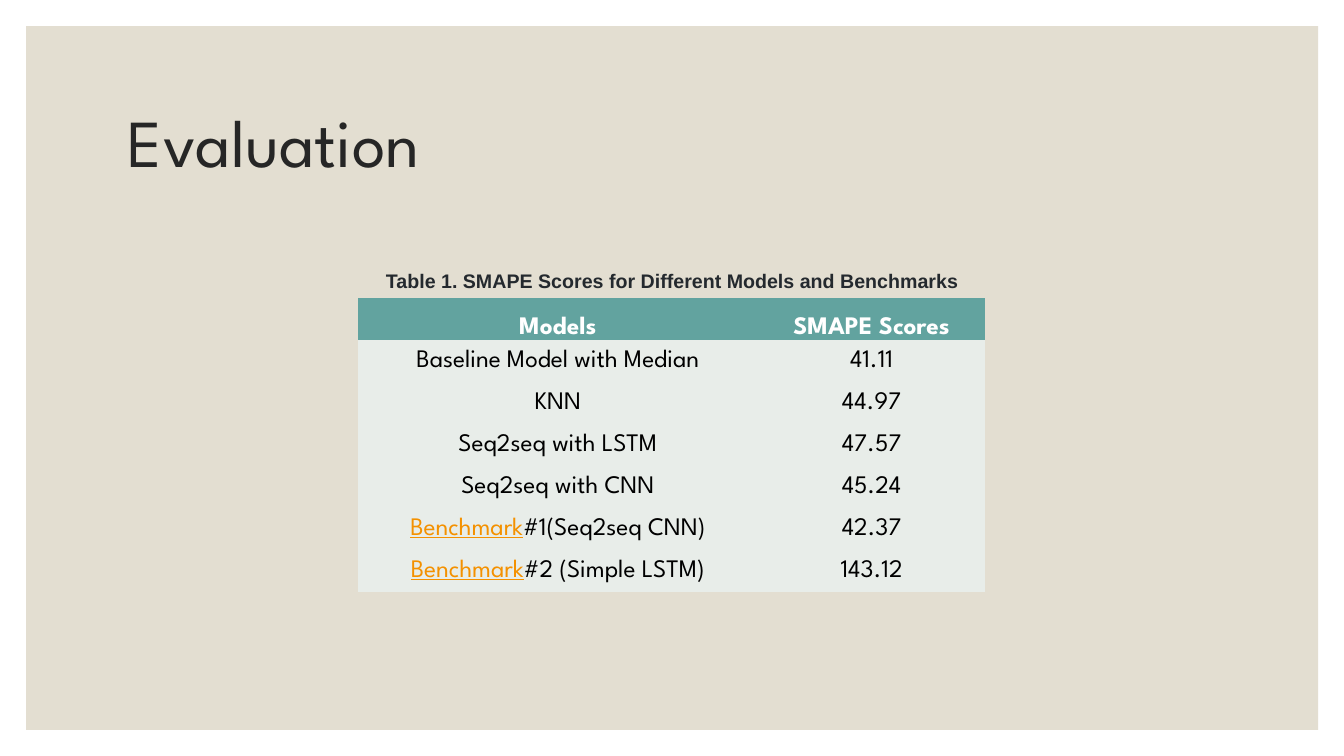
from dataclasses import dataclass

from pptx import Presentation
from pptx.dml.color import RGBColor
from pptx.enum.shapes import MSO_SHAPE
from pptx.enum.text import MSO_ANCHOR, PP_ALIGN
from pptx.oxml.ns import qn
from pptx.util import Pt

RECTANGLE = MSO_SHAPE.RECTANGLE
MIDDLE, BOTTOM, TOP = MSO_ANCHOR.MIDDLE, MSO_ANCHOR.BOTTOM, MSO_ANCHOR.TOP
LEFT, CENTER = PP_ALIGN.LEFT, PP_ALIGN.CENTER

COLORS = {
    "panel": "E3DED1",
    "title": "262626",
    "caption": "24292E",
    "header": "62A39F",
    "body": "E8EDE9",
    "white": "FFFFFF",
    "black": "000000",
    "link": "F49100",
}
HEADING_FONT = "League Spartan"
CAPTION_FONT = "Arial"
PLAIN_TABLE_STYLE = "{2D5ABB26-0587-4C30-8999-92F81FD0307C}"
COLUMN_WIDTHS = (285.8, 162.4)
ROW_HEIGHT = 30


@dataclass(frozen=True)
class Score:
    model: str
    value: str
    link: str = ""


SCORES = [
    Score("Baseline Model with Median", "41.11"),
    Score("KNN", "44.97"),
    Score("Seq2seq with LSTM", "47.57"),
    Score("Seq2seq with CNN", "45.24"),
    Score("#1(Seq2seq CNN)", "42.37", link="Benchmark"),
    Score("#2 (Simple LSTM)", "143.12", link="Benchmark"),
]


def rgb(name: str) -> RGBColor:
    return RGBColor.from_string(COLORS[name])


def add_text(paragraph, text: str, *, size: float = 18, font: str = HEADING_FONT,
             color: str = "black", bold: bool = False, underline: bool = False,
             align=CENTER) -> None:
    paragraph.alignment = align
    run = paragraph.add_run()
    run.text = text
    run.font.name = font
    run.font.size = Pt(size)
    run.font.bold = bold
    run.font.underline = underline
    run.font.color.rgb = rgb(color)


def add_box(slide, left: float, top: float, width: float, height: float, anchor):
    box = slide.shapes.add_textbox(Pt(left), Pt(top), Pt(width), Pt(height))
    box.text_frame.word_wrap = True
    box.text_frame.vertical_anchor = anchor
    return box.text_frame.paragraphs[0]


def add_panel(slide) -> None:
    panel = slide.shapes.add_shape(RECTANGLE, Pt(18.72), Pt(18.72), Pt(922.8), Pt(502.6))
    panel.shadow.inherit = False
    panel.fill.solid()
    panel.fill.fore_color.rgb = rgb("panel")
    panel.line.fill.background()


def format_cell(cell, fill: str, anchor):
    cell.fill.solid()
    cell.fill.fore_color.rgb = rgb(fill)
    cell.vertical_anchor = anchor
    cell.margin_left = cell.margin_right = cell.margin_top = Pt(0.75)
    cell.margin_bottom = Pt(0)
    return cell.text_frame.paragraphs[0]


def add_score_table(slide) -> None:
    row_count = len(SCORES) + 1
    frame = slide.shapes.add_table(
        row_count, len(COLUMN_WIDTHS), Pt(255.6), Pt(213),
        Pt(sum(COLUMN_WIDTHS)), Pt(ROW_HEIGHT * row_count))
    next(frame.element.iter(qn("a:tableStyleId"))).text = PLAIN_TABLE_STYLE
    table = frame.table
    table.horz_banding = False
    for column, width in zip(table.columns, COLUMN_WIDTHS):
        column.width = Pt(width)
    for row in table.rows:
        row.height = Pt(ROW_HEIGHT)

    for index, heading in enumerate(("Models", "SMAPE Scores")):
        paragraph = format_cell(table.cell(0, index), "header", BOTTOM)
        add_text(paragraph, heading, color="white", bold=True)

    for index, score in enumerate(SCORES, start=1):
        model = format_cell(table.cell(index, 0), "body", MIDDLE)
        if score.link:
            add_text(model, score.link, color="link", underline=True)
        add_text(model, score.model)
        add_text(format_cell(table.cell(index, 1), "body", MIDDLE), score.value)


def main() -> None:
    presentation = Presentation()
    presentation.slide_width = Pt(960)
    presentation.slide_height = Pt(540)
    slide = presentation.slides.add_slide(presentation.slide_layouts[6])

    add_panel(slide)
    title = add_box(slide, 84.24, 50.4, 792, 108, MIDDLE)
    title.line_spacing = 0.9
    add_text(title, "Evaluation", size=48, color="title", align=LEFT)
    add_score_table(slide)
    caption = add_box(slide, 221.8, 188.6, 517, 24.5, TOP)
    add_text(caption, "Table 1. SMAPE Scores for Different Models and Benchmarks",
             size=14, font=CAPTION_FONT, color="caption", bold=True)

    presentation.save("out.pptx")


if __name__ == "__main__":
    main()
